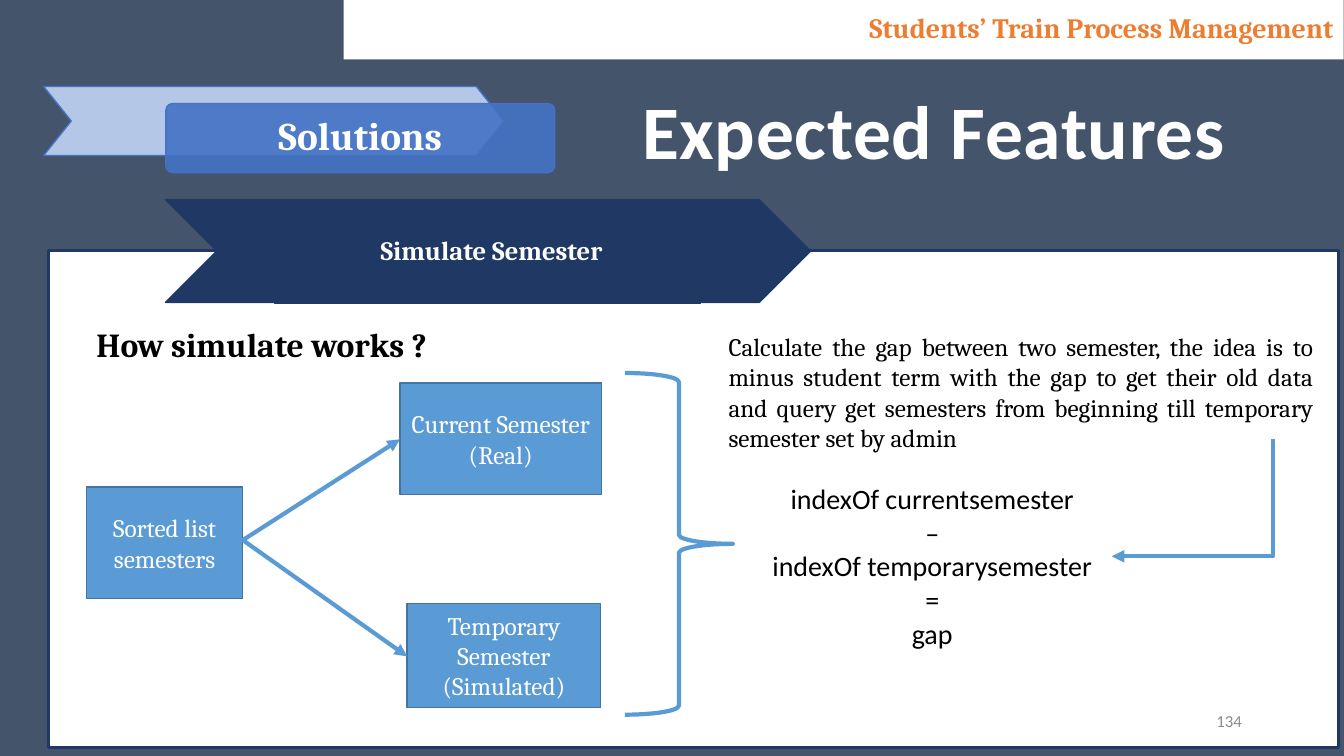
import pptx
import pptx.dml.color
import pptx.enum.shapes
import pptx.enum.text
import pptx.oxml
import pptx.oxml.ns
import pptx.util
from lxml import etree

Cm = pptx.util.Cm
Pt = pptx.util.Pt
Shape = pptx.enum.shapes.MSO_SHAPE
Connector = pptx.enum.shapes.MSO_CONNECTOR
Align = pptx.enum.text.PP_ALIGN
Anchor = pptx.enum.text.MSO_ANCHOR
qn = pptx.oxml.ns.qn

COLORS = {
    "slate": "44546A", "white": "FFFFFF", "orange": "ED7D31", "pale": "B4C7E7",
    "royal": "4472C4", "navy": "203864", "sky": "5B9BD5", "edge": "43739E",
    "black": "000000", "gray": "8C8C8C", "title": "FEFEFE",
}


class SlideBuilder:
    """Draws styled elements on the current slide, with lengths in centimetres."""

    def __init__(self, slide):
        self.slide = slide
        slide.background.fill.solid()
        slide.background.fill.fore_color.rgb = self.color("slate")

    def color(self, name):
        return pptx.dml.color.RGBColor.from_string(COLORS[name])

    def shape(self, kind, place, fill=None, line=None, width=1, adjust=None, alpha=None):
        box = self.slide.shapes.add_shape(kind, *map(Cm, place))
        box.shadow.inherit = False
        if adjust is not None:
            box.adjustments[0] = adjust
        if fill:
            box.fill.solid()
            box.fill.fore_color.rgb = self.color(fill)
        else:
            box.fill.background()
        if alpha:
            tint = box._element.spPr.find(qn("a:solidFill"))[0]
            etree.SubElement(tint, qn("a:alpha"), val=str(alpha * 1000))
        if line:
            box.line.color.rgb = self.color(line)
            box.line.width = Pt(width)
        else:
            box.line.fill.background()
        return box

    def label(self, box, lines, size, color, font="Cambria", bold=False,
              align=Align.CENTER, anchor=Anchor.MIDDLE, spacing=None, wrap=True):
        frame = box.text_frame
        frame.word_wrap = wrap
        frame.vertical_anchor = anchor
        for index, line in enumerate(lines):
            para = frame.add_paragraph() if index else frame.paragraphs[0]
            para.alignment = align
            if spacing:
                para.line_spacing = spacing
            para.font.name = font
            para.font.size = Pt(size)
            para.font.bold = bold
            para.font.color.rgb = self.color(color)
            para.add_run().text = line
        return box

    def text(self, place, lines, size, color, **style):
        box = self.slide.shapes.add_textbox(*map(Cm, place))
        return self.label(box, lines, size, color, **style)

    def outline(self, box, color, width, shadow=False):
        effect = (
            '<a:effectLst><a:outerShdw blurRad="12700" dist="38100" dir="2700000">'
            f'<a:srgbClr val="{COLORS[color]}"/></a:outerShdw></a:effectLst>'
        ) if shadow else ""
        holder = pptx.oxml.parse_xml(
            f'<a:rPr {pptx.oxml.ns.nsdecls("a")}><a:ln w="{int(Pt(width))}"><a:solidFill>'
            f'<a:srgbClr val="{COLORS[color]}"/></a:solidFill></a:ln>{effect}</a:rPr>')
        for span in box.text_frame.paragraphs[0].runs:
            span._r.get_or_add_rPr().extend(list(holder))

    def arrow(self, start, end, kind=Connector.STRAIGHT):
        line = self.slide.shapes.add_connector(kind, *map(Cm, (*start, *end)))
        line.line.color.rgb = self.color("sky")
        line.line.width = Pt(3)
        properties = line._element.spPr
        etree.SubElement(properties.find(qn("a:ln")), qn("a:tailEnd"), type="triangle")
        etree.SubElement(properties, qn("a:effectLst"))
        if kind == Connector.ELBOW:
            guides = properties.find(qn("a:prstGeom")).find(qn("a:avLst"))
            etree.SubElement(guides, qn("a:gd"), name="adj1", fmla="val 0")


def main():
    deck = pptx.Presentation()
    deck.slide_width, deck.slide_height = Cm(33.87), Cm(19.05)
    page = SlideBuilder(deck.slides.add_slide(deck.slide_layouts[6]))

    header = page.shape(Shape.RECTANGLE, (8.66, 0, 25.2, 1.5), "white")
    page.label(header, ["Students’ Train Process Management"], 20, "orange",
               bold=True, align=Align.RIGHT, spacing=0.9)
    page.outline(header, "orange", 0.52)

    page.shape(Shape.CHEVRON, (1.1, 2.18, 11.6, 1.74), "pale", "royal", adjust=0.4)
    page.shape(Shape.ROUNDED_RECTANGLE, (4.18, 2.61, 9.8, 1.74), "royal", "royal",
               adjust=0.1, alpha=90)
    page.text((4.23, 2.66, 9.7, 1.64), ["Solutions"], 28, "white", bold=True, spacing=0.9)

    page.shape(Shape.RECTANGLE, (1.22, 6.32, 32.51, 12.52), "white", "navy", 2.25)
    page.shape(Shape.CHEVRON, (4.17, 5.03, 16.26, 2.59), "navy", "navy")
    banner = page.shape(Shape.RECTANGLE, (6.93, 5.05, 10.72, 2.59), "navy", "navy", 0.75)
    page.label(banner, ["Simulate Semester"], 19, "white", bold=True, spacing=0.9)
    banner.text_frame.margin_left, banner.text_frame.margin_right = Cm(0.3), Cm(0.1)

    title = page.text((15.85, 1.98, 15.37, 2.57), ["Expected Features"], 54, "title",
                      font="Calibri", bold=True, anchor=Anchor.TOP, wrap=False)
    page.outline(title, "sky", 0.75, shadow=True)
    title.text_frame.paragraphs[0].runs[0]._r.get_or_add_rPr().set("spc", "50")
    page.text((2.18, 8.23, 10.26, 1.12), ["How simulate works ?"], 24, "black", bold=True,
              align=Align.LEFT, anchor=Anchor.TOP, spacing=0.8)

    semester_boxes = [
        ("Sorted list semesters", (2.18, 12.27, 3.94, 2.82)),
        ("Current Semester (Real)", (10.08, 9.65, 5.08, 2.82)),
        ("Temporary Semester (Simulated)", (10.26, 15.21, 4.88, 2.62)),
    ]
    for name, place in semester_boxes:
        box = page.shape(Shape.RECTANGLE, place, "sky", "edge")
        page.label(box, [name], 18, "white")
    for target in [(10.08, 11.07), (10.26, 16.54)]:
        page.arrow((6.12, 13.61), target)
    page.shape(Shape.RIGHT_BRACE, (15.75, 9.4, 2.72, 8.61), line="sky", width=3)

    formula = ["indexOf currentsemester", "–", "indexOf temporarysemester", "=", "gap"]
    page.text((16.33, 12.01, 14.33, 4.52), formula, 20, "black", font="Calibri",
              anchor=Anchor.TOP)
    page.text((18.11, 8.23, 15.24, 3.33), [
        "Calculate the gap between two semester, the idea is to minus student term with "
        "the gap to get their old data and query get semesters from beginning till "
        "temporary semester set by admin"
    ], 18, "black", align=Align.JUSTIFY, anchor=Anchor.TOP)
    page.arrow((32.08, 11.07), (28.02, 14.02), Connector.ELBOW)
    page.text((23.93, 17.65, 7.62, 1.02), ["134"], 12, "gray", font="Calibri",
              align=Align.RIGHT)
    deck.save("out.pptx")


if __name__ == "__main__":
    main()
